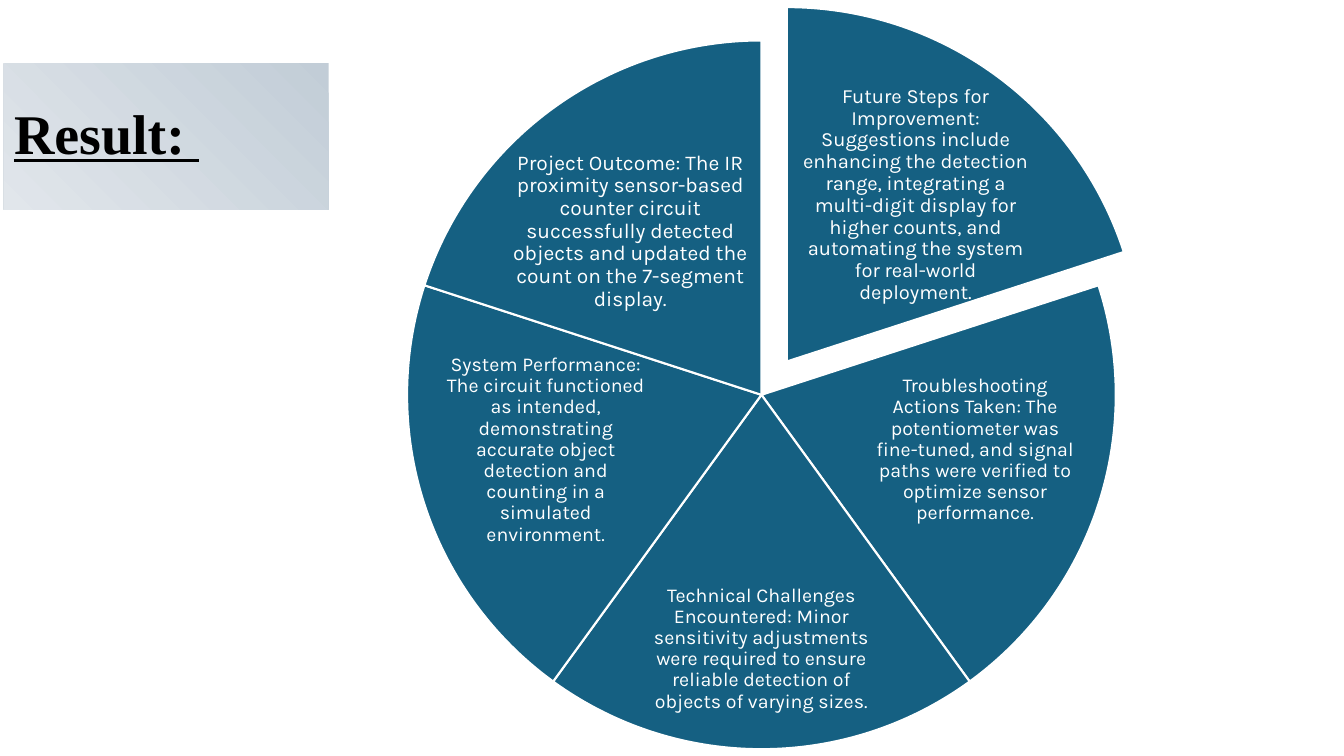
from dataclasses import dataclass

import pptx
import pptx.dml.color
import pptx.enum.shapes
import pptx.enum.text
import pptx.util
from pptx.util import Cm

PIE_LEFT, PIE_TOP, PIE_SIZE = 10.26, 1.02, 17.86
FIRST_ANGLE = 270
ANGLE_UNIT = 0.6  # adjustment value per degree


@dataclass(frozen=True)
class Slice:
    text: str
    left: float
    top: float
    width: float
    height: float
    size: float = 14
    shift_x: float = 0
    shift_y: float = 0


SLICES = [
    Slice("Future Steps for Improvement: Suggestions include enhancing the detection range, "
          "integrating a multi-digit display for higher counts, and automating the system "
          "for real-world deployment.", 20.04, 2.84, 6.07, 4.14, 14.4, 0.64, -0.84),
    Slice("Troubleshooting Actions Taken: The potentiometer was fine-tuned, and signal paths "
          "were verified to optimize sensor performance.", 21.92, 9.09, 5.31, 4.5),
    Slice("Technical Challenges Encountered: Minor sensitivity adjustments were required to "
          "ensure reliable detection of objects of varying sizes.", 16, 14.43, 6.38, 3.84),
    Slice("System Performance: The circuit functioned as intended, demonstrating accurate "
          "object detection and counting in a simulated environment.", 11.1, 9.09, 5.31, 4.5),
    Slice("Project Outcome: The IR proximity sensor-based counter circuit successfully detected "
          "objects and updated the count on the 7-segment display.", 12.85, 3.76, 6.07, 4.14, 15),
]


def color(value: str) -> pptx.dml.color.RGBColor:
    return pptx.dml.color.RGBColor.from_string(value)


def set_attributes(target: object, values: dict) -> None:
    for name, value in values.items():
        setattr(target, name, value)


def write_text(shape, text: str, alignment, font_color: str, font_format: dict) -> None:
    set_attributes(shape.text_frame, {
        "word_wrap": True,
        "auto_size": pptx.enum.text.MSO_AUTO_SIZE.NONE,
        "vertical_anchor": pptx.enum.text.MSO_ANCHOR.MIDDLE,
    })
    paragraph = shape.text_frame.paragraphs[0]
    set_attributes(paragraph, {"alignment": alignment, "line_spacing": 0.9})
    run = paragraph.add_run()
    run.text = text
    set_attributes(run.font, font_format)
    run.font.color.rgb = color(font_color)


def add_title(slide) -> None:
    title = slide.shapes.title
    set_attributes(title, {"left": Cm(0.1), "top": Cm(1.6), "width": Cm(8.18), "height": Cm(3.68)})
    title.fill.gradient()
    title.fill.gradient_angle = 225
    for stop, value in zip(title.fill.gradient_stops, ("C2CDD7", "E1E6EB")):
        stop.color.rgb = color(value)
    write_text(title, "Result: ", pptx.enum.text.PP_ALIGN.LEFT, "000000", {
        "name": "Times New Roman", "size": pptx.util.Pt(40), "bold": True, "underline": True})


def add_slice(slide, part: Slice, start: float, end: float) -> None:
    """Draw one pie slice between two angles in degrees, with its label."""
    pie = slide.shapes.add_shape(
        pptx.enum.shapes.MSO_SHAPE.PIE, Cm(PIE_LEFT + part.shift_x), Cm(PIE_TOP + part.shift_y),
        Cm(PIE_SIZE), Cm(PIE_SIZE))
    pie.shadow.inherit = False
    pie.adjustments[0] = start % 360 * ANGLE_UNIT
    pie.adjustments[1] = end % 360 * ANGLE_UNIT
    pie.fill.solid()
    pie.fill.fore_color.rgb = color("156082")
    pie.line.color.rgb = color("FFFFFF")
    pie.line.width = pptx.util.Pt(1.5)

    label = slide.shapes.add_textbox(
        Cm(part.left), Cm(part.top), Cm(part.width), Cm(part.height))
    set_attributes(label.text_frame, {
        f"margin_{side}": Cm(0.05) for side in ("left", "top", "right", "bottom")})
    write_text(label, part.text, pptx.enum.text.PP_ALIGN.CENTER, "FFFFFF", {
        "name": "Karla", "size": pptx.util.Pt(part.size)})


def main() -> None:
    presentation = pptx.Presentation()
    set_attributes(presentation, {"slide_width": Cm(33.87), "slide_height": Cm(19.05)})
    slide = presentation.slides.add_slide(presentation.slide_layouts.get_by_name("Title Only"))
    add_title(slide)
    sweep = 360 / len(SLICES)
    for index, part in enumerate(SLICES):
        start = FIRST_ANGLE + index * sweep
        add_slice(slide, part, start, start + sweep)
    presentation.save("out.pptx")


if __name__ == "__main__":
    main()
